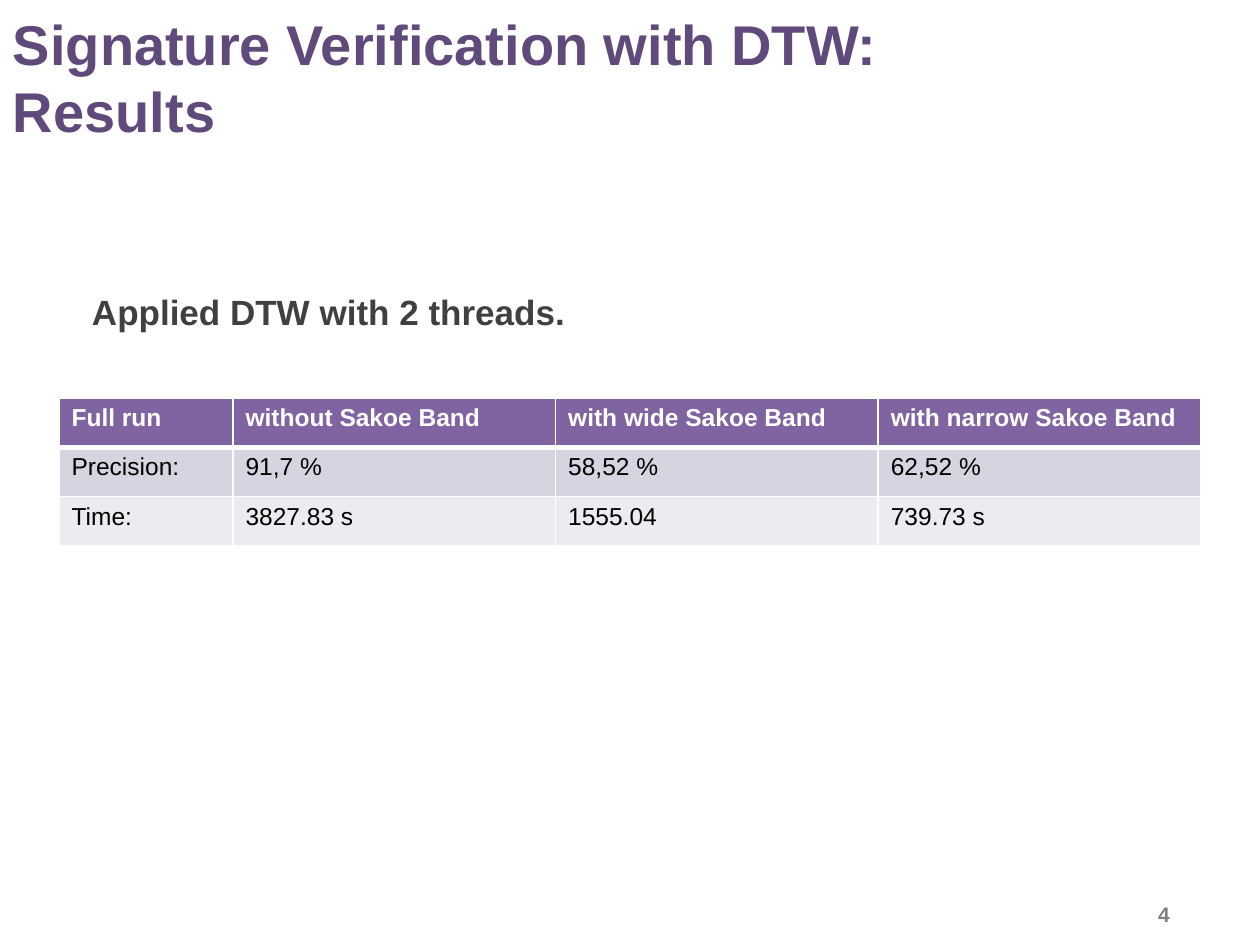
from dataclasses import dataclass

from lxml import etree
from pptx import Presentation
from pptx import util as u
from pptx.dml.color import RGBColor
from pptx.enum import text
from pptx.oxml import ns


@dataclass(frozen=True)
class Theme:
    """Colours, font and type sizes of the deck."""
    font: str = "Arial"
    title: str = "604A7B"
    body: str = "404040"
    number: str = "808080"
    header: str = "8064A2"
    bands: tuple = ("D8D3E0", "EDEAF0")
    light: str = "FFFFFF"
    dark: str = "000000"
    title_size: int = 32
    body_size: int = 20
    table_size: int = 14
    number_size: int = 12


THEME = Theme()
RESULTS = [
    ["Full run", "without Sakoe Band", "with wide Sakoe Band", "with narrow Sakoe Band"],
    ["Precision:", "91,7 %", "58,52 %", "62,52 %"],
    ["Time:", "3827.83 s", "1555.04", "739.73 s"],
]


def px(length):
    """Turn pixels into EMU."""
    return u.Emu(round(length * 914400 / 126))


def write(frame, words, size, color, bold=True, inset=(13, 6, 13, 6),
          anchor=text.MSO_ANCHOR.TOP, wrap=True, before=0):
    """Fill a text frame, one paragraph for each line of words."""
    frame.word_wrap = wrap
    frame.auto_size = text.MSO_AUTO_SIZE.NONE
    frame.vertical_anchor = anchor
    frame.margin_left, frame.margin_top, frame.margin_right, frame.margin_bottom = map(px, inset)
    for index, line in enumerate(words.split("\n")):
        para = frame.add_paragraph() if index else frame.paragraphs[0]
        para.alignment = text.PP_ALIGN.LEFT
        para.space_before = u.Pt(before)
        style_span(para, line, size, color, bold)


def style_span(para, words, size, color, bold):
    """Add one formatted run to a paragraph."""
    span = para.add_run()
    span.text = words
    span.font.name = THEME.font
    span.font.size = u.Pt(size)
    span.font.bold = bold
    span.font.color.rgb = RGBColor.from_string(color)


def add_title(page, box, words):
    """Place and format the title placeholder."""
    title = page.shapes.title
    title.left, title.top, title.width, title.height = map(px, box)
    write(title.text_frame, words, THEME.title_size, THEME.title,
          anchor=text.MSO_ANCHOR.MIDDLE)


def add_text(page, box, words, size, color, **form):
    """Place a text box."""
    area = page.shapes.add_textbox(*map(px, box))
    write(area.text_frame, words, size, color, **form)


def add_borders(cell, bottom):
    """Draw light borders round a cell, with the bottom width in points."""
    properties = cell._tc.get_or_add_tcPr()
    for index, side in enumerate(("lnL", "lnR", "lnT", "lnB")):
        width = bottom if side == "lnB" else 1
        line = etree.Element(ns.qn(f"a:{side}"), w=str(u.Pt(width)))
        fill = etree.SubElement(line, ns.qn("a:solidFill"))
        etree.SubElement(fill, ns.qn("a:srgbClr"), val=THEME.light)
        properties.insert(index, line)


def add_results(page, box, rows, first_width):
    """Place the table of results with a narrower first column."""
    left, top, width, height = box
    columns = len(rows[0])
    table = page.shapes.add_table(len(rows), columns, *map(px, box)).table
    other_width = (width - first_width) / (columns - 1)
    for index, column in enumerate(table.columns):
        column.width = px(other_width if index else first_width)
    for index, row in enumerate(rows):
        table.rows[index].height = px(height / len(rows))
        head = index == 0
        shade = THEME.header if head else THEME.bands[(index - 1) % 2]
        for cell, words in zip(table.rows[index].cells, row):
            cell.fill.solid()
            cell.fill.fore_color.rgb = RGBColor.from_string(shade)
            style_span(cell.text_frame.paragraphs[0], words, THEME.table_size,
                       THEME.light if head else THEME.dark, head)
            add_borders(cell, 3 if head else 1)


def main():
    """Build the deck and save it."""
    deck = Presentation()
    deck.slide_width, deck.slide_height = px(1260), px(945)
    page = deck.slides.add_slide(deck.slide_layouts[5])
    add_title(page, (0, 3, 1260, 147), "Signature Verification with DTW:\nResults")
    add_text(page, (38, 239, 1134, 496), "Applied DTW with 2 threads.",
             THEME.body_size, THEME.body, inset=(54, 51, 13, 6))
    add_results(page, (59, 398, 1142, 148), RESULTS, 174)
    add_text(page, (1145, 896, 59, 38), "4", THEME.number_size, THEME.number, wrap=False)
    deck.save("out.pptx")


if __name__ == "__main__":
    main()
